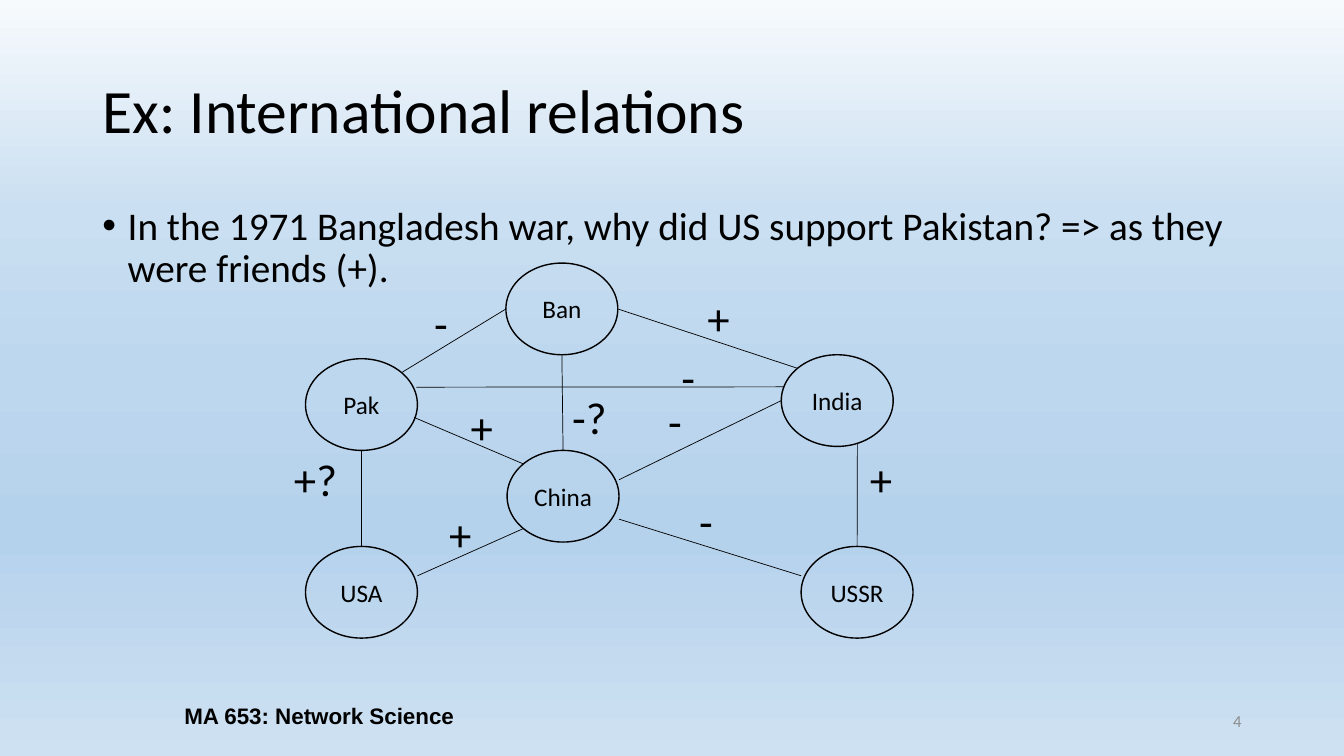
import pptx
import pptx.util
import pptx.dml.color
import pptx.enum.shapes
import pptx.enum.text
import pptx.oxml.ns
import lxml.etree

Cm, Pt = pptx.util.Cm, pptx.util.Pt
RGB = pptx.dml.color.RGBColor
Align = pptx.enum.text.PP_ALIGN
Anchor = pptx.enum.text.MSO_ANCHOR
Fit = pptx.enum.text.MSO_AUTO_SIZE
qn = pptx.oxml.ns.qn

TITLE = "Ex: International relations"
BODY = ("In the 1971 Bangladesh war, why did US support Pakistan? "
        "=> as they were friends (+).")
FOOT = "MA 653: Network Science"
PAGE = "4"

NODES = {
    "China": (12.78, 11.35),
    "Ban": (12.75, 6.63),
    "India": (19.69, 8.94),
    "USSR": (20.19, 13.77),
    "USA": (7.7, 13.77),
    "Pak": (7.7, 9.04),
}
SIZE = (2.82, 2.31)

# Each end is a node and the share of its width and height.
EDGES = [
    ("China", (0.15, 0.85), "USA", (1, 0.32), "+", (11.07, 12.65)),
    ("China", (1, 0.75), "USSR", (0, 0.32), "-", (17.37, 12.32)),
    ("China", (0.15, 0.15), "Pak", (0.97, 0.64), "+", (11.61, 9.96)),
    ("China", (1, 0.32), "India", (0, 0.5), "-", (16.59, 9.8)),
    ("China", (0.5, 0), "Ban", (0.5, 1), "-?", (14.17, 9.7)),
    ("USSR", (0.5, 0), "India", (0.68, 0.97), "+", (21.67, 11.25)),
    ("India", (0.15, 0.15), "Ban", (1, 0.5), "+", (17.58, 7.19)),
    ("Ban", (0, 0.5), "Pak", (0.86, 0.15), "-", (10.69, 7.32)),
    ("USA", (0.5, 0), "Pak", (0.5, 1), "+?", (7.16, 11.25)),
    ("India", (0.03, 0.35), "Pak", (0.99, 0.31), "-", (16.92, 8.69)),
]

THEME = {
    "ink": "000000",
    "gray": "8C8C8C",
    "sky": [(0, "F7FAFD"), (28, "CADFF1"), (49, "BDD7EE"),
            (71, "B5D2EC"), (100, "CEE1F2")],
    "title": {"size": Pt(44), "name": "Calibri", "bold": False},
    "body": {"size": Pt(28), "name": "Calibri"},
    "node": {"size": Pt(18), "name": "Calibri"},
    "sign": {"size": Pt(32), "name": "Calibri"},
    "foot": {"size": Pt(16), "name": "Arial", "bold": True},
    "page": {"size": Pt(12), "name": "Calibri"},
}


def write(shape, text, style, ink="ink", align=Align.LEFT,
          anchor=Anchor.MIDDLE, wrap=True, fit=Fit.NONE):
    frame = shape.text_frame
    frame.text = text
    form = {"word_wrap": wrap, "auto_size": fit, "vertical_anchor": anchor}
    for key, value in form.items():
        setattr(frame, key, value)
    para = frame.paragraphs[0]
    para.alignment = align
    font = para.runs[0].font
    for key, value in THEME[style].items():
        setattr(font, key, value)
    font.color.rgb = RGB.from_string(THEME[ink])
    return para


def box(slide, x, y, w, h):
    return slide.shapes.add_textbox(Cm(x), Cm(y), Cm(w), Cm(h))


def paint(slide):
    fill = slide.background.fill
    fill.gradient()
    fill.gradient_angle = 270
    stops = slide.element.find(".//" + qn("a:gsLst"))
    for stop in list(stops):
        stops.remove(stop)
    for pos, tone in THEME["sky"]:
        stop = lxml.etree.SubElement(stops, qn("a:gs"), pos=str(pos * 1000))
        lxml.etree.SubElement(stop, qn("a:srgbClr"), val=tone)


def add_title(slide):
    title = slide.shapes.title
    place = {"left": Cm(2.33), "top": Cm(1.01),
             "width": Cm(29.21), "height": Cm(3.68)}
    for key, value in place.items():
        setattr(title, key, value)
    write(title, TITLE, "title").line_spacing = 0.9


def add_body(slide):
    para = write(box(slide, 2.33, 5.08, 29.21, 12.09), BODY, "body",
                 anchor=Anchor.TOP)
    para.line_spacing = 0.9
    props = para._p.get_or_add_pPr()
    props.set("marL", str(Cm(0.64)))
    props.set("indent", str(Cm(-0.64)))
    lxml.etree.SubElement(props, qn("a:buFont"), typeface="Arial")
    lxml.etree.SubElement(props, qn("a:buChar"), char="•")


def add_node(slide, name, spot):
    oval = slide.shapes.add_shape(
        pptx.enum.shapes.MSO_SHAPE.OVAL, *map(Cm, spot + SIZE))
    oval.shadow.inherit = False
    oval.fill.background()
    oval.line.color.rgb = RGB.from_string(THEME["ink"])
    oval.line.width = Pt(1)
    write(oval, name, "node", align=Align.CENTER, wrap=False)


def site(name, share):
    return [Cm(start + part * span)
            for start, part, span in zip(NODES[name], share, SIZE)]


def add_edge(slide, head, out, tail, into, sign, spot):
    line = slide.shapes.add_connector(
        pptx.enum.shapes.MSO_CONNECTOR.STRAIGHT,
        *site(head, out), *site(tail, into))
    line.line.color.rgb = RGB.from_string(THEME["ink"])
    line.line.width = Pt(0.5)
    lxml.etree.SubElement(line._element.spPr, qn("a:effectLst"))
    wide = 1.3 if len(sign) == 1 else 1.63
    write(box(slide, *spot, wide, 1.63), sign, "sign",
          anchor=Anchor.TOP, fit=Fit.SHAPE_TO_FIT_TEXT)


def main():
    deck = pptx.Presentation()
    deck.slide_width, deck.slide_height = Cm(33.87), Cm(19.05)
    slide = deck.slides.add_slide(deck.slide_layouts[5])
    paint(slide)
    add_title(slide)
    add_body(slide)
    write(box(slide, 23.92, 17.66, 7.62, 1.01), PAGE, "page",
          ink="gray", align=Align.RIGHT)
    write(box(slide, 2.33, 17.53, 11.43, 1.01), FOOT, "foot",
          align=Align.CENTER)
    for name, spot in NODES.items():
        add_node(slide, name, spot)
    for edge in EDGES:
        add_edge(slide, *edge)
    deck.save("out.pptx")


if __name__ == "__main__":
    main()
